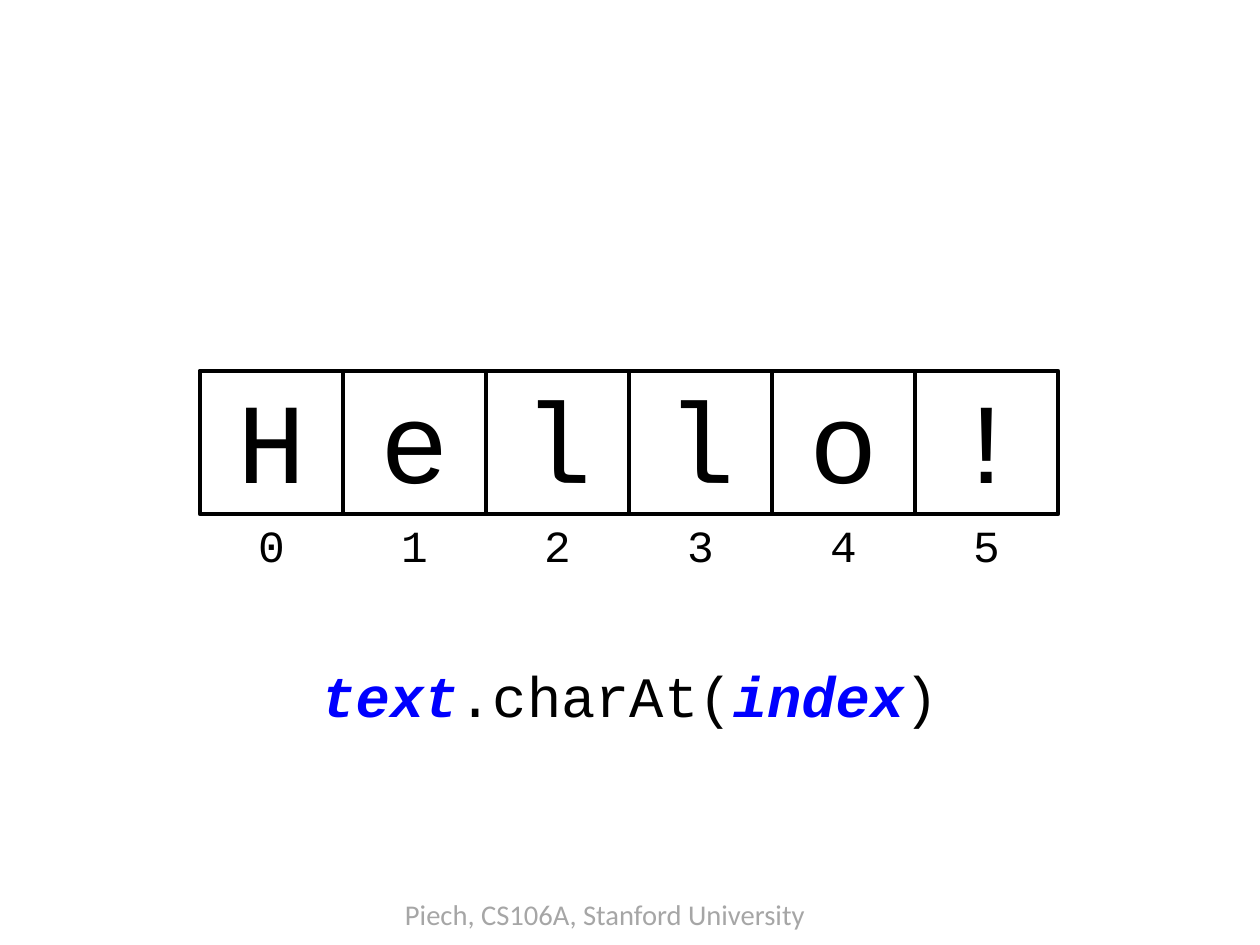
import pptx
import pptx.dml.color
import pptx.enum.shapes
import pptx.enum.text
import pptx.util

PX = 8000  # EMU in one px
WIDE, HIGH = 1260, 945
RGB = pptx.dml.color.RGBColor.from_string
ALIGN = pptx.enum.text.PP_ALIGN
ANCHOR = pptx.enum.text.MSO_ANCHOR

THEME = {
    "ink": RGB("000000"),
    "blue": RGB("0000FF"),
    "grey": RGB("A6A6A6"),
    "code": "Courier New",
    "plain": "Calibri",
    "letter": 72,
    "index": 28,
    "call": 36,
    "foot": 18,
    "line": 2.89,
}


def box(left, top, width, height):
    return [n * PX for n in (left, top, width, height)]


def write(shape, parts, size, face, insets, spacing, align=ALIGN.CENTER, wrap=True):
    """Fill a shape with one paragraph of (text, colour, strong) parts."""
    frame = shape.text_frame
    frame.word_wrap = wrap
    frame.margin_left, frame.margin_top, frame.margin_right, frame.margin_bottom = box(*insets)
    line = frame.paragraphs[0]
    line.alignment = align
    line.line_spacing = spacing
    line.font.size = pptx.util.Pt(THEME[size])
    line.font.name = THEME[face]
    for text, colour, strong in parts:
        run = line.add_run()
        run.text = text
        run.font.color.rgb = THEME[colour]
        if strong:
            run.font.bold = run.font.italic = True


deck = pptx.Presentation()
deck.slide_width = WIDE * PX
deck.slide_height = HIGH * PX
slide = deck.slides.add_slide(deck.slide_layouts[6])
shapes = slide.shapes

foot = shapes.add_textbox(*box(394, 894, 427, 43))
write(foot, [("Piech, CS106A, Stanford University", "grey", False)],
      "foot", "plain", (11, 6, 11, 6), 0.93, ALIGN.LEFT, False)

LEFT, TOP, SIDE = 200, 371, 143
CELL_PAD = (14, 10, 14, 8)
TEXT_PAD = (11, 9, 11, 6)

for index, letter in enumerate("Hello!"):
    left = LEFT + index * SIDE
    cell = shapes.add_shape(pptx.enum.shapes.MSO_SHAPE.RECTANGLE,
                            *box(left, TOP, SIDE, SIDE))
    cell.shadow.inherit = False
    cell.fill.background()
    cell.line.color.rgb = THEME["ink"]
    cell.line.width = pptx.util.Pt(THEME["line"])
    cell.text_frame.vertical_anchor = ANCHOR.MIDDLE
    write(cell, [(letter, "ink", False)], "letter", "code", CELL_PAD, 0.98, wrap=False)

    label = shapes.add_textbox(*box(left, TOP + SIDE, SIDE, 61))
    write(label, [(str(index), "ink", False)], "index", "code", TEXT_PAD, 0.93)

call = shapes.add_textbox(*box(0, 657, WIDE, 78))
write(call, [("text", "blue", True), (".charAt(", "ink", False),
             ("index", "blue", True), (")", "ink", False)],
      "call", "code", TEXT_PAD, 0.93)

deck.save("out.pptx")
